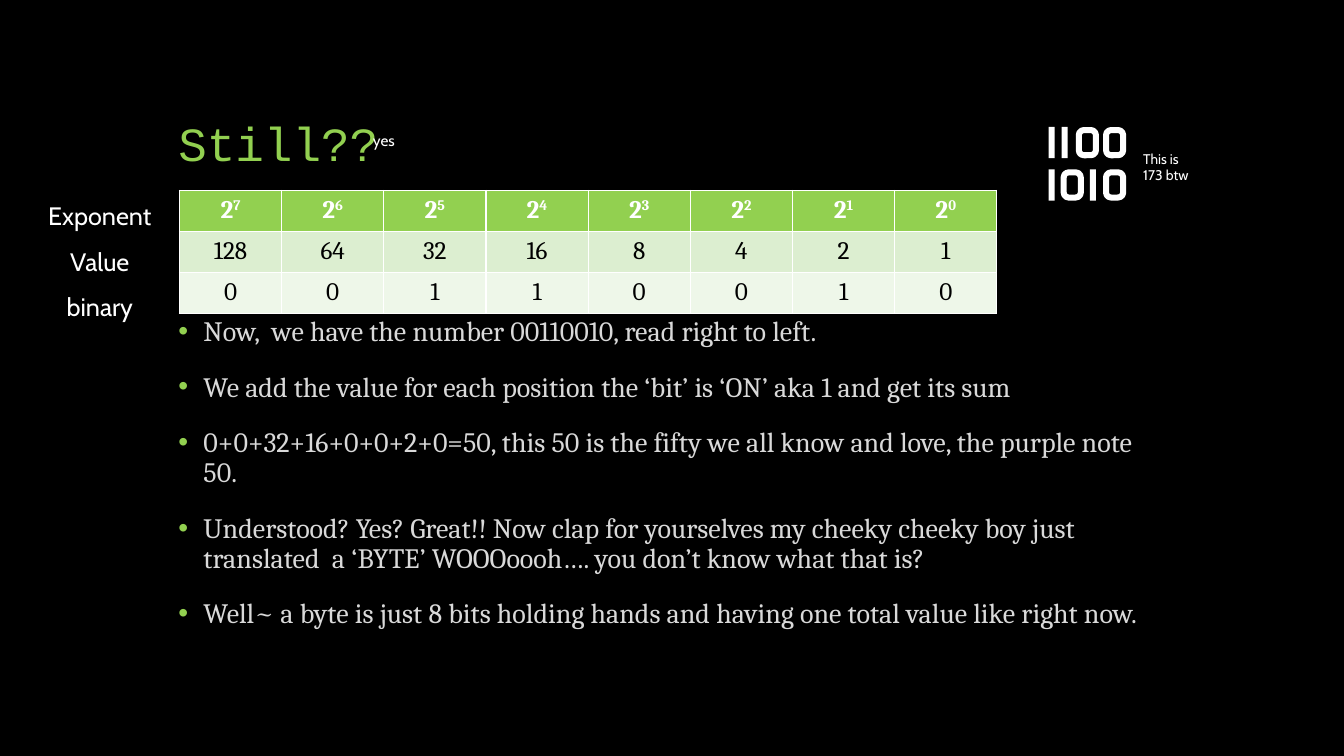
from lxml import etree
from pptx import Presentation
from pptx import util as u
from pptx.dml.color import RGBColor
from pptx.enum import shapes, text
from pptx.oxml import ns

GREEN, WHITE, BLACK, GREY = "92D050", "FFFFFF", "000000", "D9D9D9"
TITLE = "Still??"
BITS = [0, 0, 1, 1, 0, 0, 1, 0]
ROW_FILLS = [GREEN, "DCEED0", "EEF7E9"]
ROW_LABELS = ["Exponent", "Value", "binary"]
POINTS = [
    "Now,  we have the number 00110010, read right to left.",
    "We add the value for each position the ‘bit’ is ‘ON’ aka 1 and get its sum",
    "0+0+32+16+0+0+2+0=50, this 50 is the fifty we all know and love, the purple note 50.",
    "Understood? Yes? Great!! Now clap for yourselves my cheeky cheeky boy just "
    "translated  a ‘BYTE’ WOOOoooh…. you don’t know what that is?",
    "Well~ a byte is just 8 bits holding hands and having one total value like right now.",
]
# Digits of the binary icon: top of each row, then (digit, left)
ICON_ROWS = [
    (1.26, [(1, 10.4), (1, 10.53), (0, 10.67), (0, 10.94)]),
    (1.68, [(1, 10.4), (0, 10.52), (1, 10.81), (0, 10.94)]),
]
STROKE, DIGIT_HEIGHT, ZERO_WIDTH, ZERO_RADIUS = 0.06, 0.31, 0.23, 0.05


def color(value):
    return RGBColor.from_string(value)


def box(*lengths):
    return [u.Inches(length) for length in lengths]


def style(paragraph, font, size, fill, align=text.PP_ALIGN.LEFT, spacing=None):
    paragraph.font.name = font
    paragraph.font.size = u.Pt(size)
    paragraph.font.color.rgb = color(fill)
    paragraph.alignment = align
    if spacing:
        paragraph.line_spacing = spacing


def add_text(slide, place, lines, font, size, fill, wrap=True, **layout):
    """Add a text box with one paragraph per line and return its paragraphs."""
    frame = slide.shapes.add_textbox(*box(*place)).text_frame
    frame.word_wrap = wrap
    frame.text = "\n".join(lines)
    for paragraph in frame.paragraphs:
        style(paragraph, font, size, fill, **layout)
    return frame.paragraphs


def add_bullet(paragraph):
    properties = paragraph._p.get_or_add_pPr()
    properties.set("marL", str(u.Inches(0.25)))
    properties.set("indent", str(u.Inches(-0.25)))
    bullet_color = etree.SubElement(properties, ns.qn("a:buClr"))
    etree.SubElement(bullet_color, ns.qn("a:srgbClr")).set("val", GREEN)
    etree.SubElement(properties, ns.qn("a:buFont")).set("typeface", "Arial")
    etree.SubElement(properties, ns.qn("a:buChar")).set("char", "•")


def add_title(slide):
    title = slide.shapes.title
    title.left, title.top, title.width, title.height = box(1.67, 0.5, 10, 1.25)
    frame = title.text_frame
    frame.text = TITLE
    frame.auto_size = text.MSO_AUTO_SIZE.NONE
    frame.vertical_anchor = text.MSO_ANCHOR.BOTTOM
    style(frame.paragraphs[0], "Courier New", 34, GREEN, spacing=0.9)


def add_bit_table(slide):
    count = len(BITS)
    table = slide.shapes.add_table(3, count, *box(1.78, 1.89, 8.11, 1.22)).table
    for column, bit in enumerate(BITS):
        exponent = count - 1 - column
        for row, value in enumerate([2, 2 ** exponent, bit]):
            header = row == 0
            cell = table.cell(row, column)
            cell.fill.solid()
            cell.fill.fore_color.rgb = color(ROW_FILLS[row])
            cell.text = str(value)
            paragraph = cell.text_frame.paragraphs[0]
            style(paragraph, "Cambria", 18, WHITE if header else BLACK, text.PP_ALIGN.CENTER)
            paragraph.font.bold = header
            if header:
                power = paragraph.add_run()
                power.text = str(exponent)
                power._r.get_or_add_rPr().set("baseline", "30000")


def add_digit(slide, digit, left, top):
    """Draw a one as a solid bar and a zero as a thick rounded outline."""
    if digit:
        shape = slide.shapes.add_shape(
            shapes.MSO_SHAPE.RECTANGLE, *box(left, top, STROKE, DIGIT_HEIGHT))
        shape.fill.solid()
        shape.fill.fore_color.rgb = color(WHITE)
        shape.line.fill.background()
    else:
        width = ZERO_WIDTH - STROKE
        shape = slide.shapes.add_shape(
            shapes.MSO_SHAPE.ROUNDED_RECTANGLE,
            *box(left + STROKE / 2, top + STROKE / 2, width, DIGIT_HEIGHT - STROKE))
        shape.adjustments[0] = ZERO_RADIUS / width
        shape.fill.background()
        shape.line.color.rgb = color(WHITE)
        shape.line.width = u.Inches(STROKE)
    shape.shadow.inherit = False


def main():
    presentation = Presentation()
    presentation.slide_width, presentation.slide_height = box(13.33, 7.5)
    slide = presentation.slides.add_slide(presentation.slide_layouts[5])
    slide.background.fill.solid()
    slide.background.fill.fore_color.rgb = color(BLACK)

    add_title(slide)
    add_text(slide, (3.6, 1.25, 0.42, 0.29), ["yes"], "Cabin", 11, WHITE, wrap=False)
    add_bit_table(slide)
    points = add_text(slide, (1.67, 3.1, 10, 3.56), POINTS, "Cambria", 20, GREY, spacing=0.9)
    for paragraph in points:
        paragraph.space_before = u.Pt(18)
        add_bullet(paragraph)
    add_text(slide, (0.26, 1.79, 1.46, 1.42), ROW_LABELS, "Cabin", 18, WHITE,
             align=text.PP_ALIGN.CENTER, spacing=1.5)
    for top, digits in ICON_ROWS:
        for digit, left in digits:
            add_digit(slide, digit, left, top)
    add_text(slide, (11.24, 1.44, 0.68, 0.44), ["This is 173 btw"], "Cabin", 10, WHITE)
    presentation.save("out.pptx")


if __name__ == "__main__":
    main()
